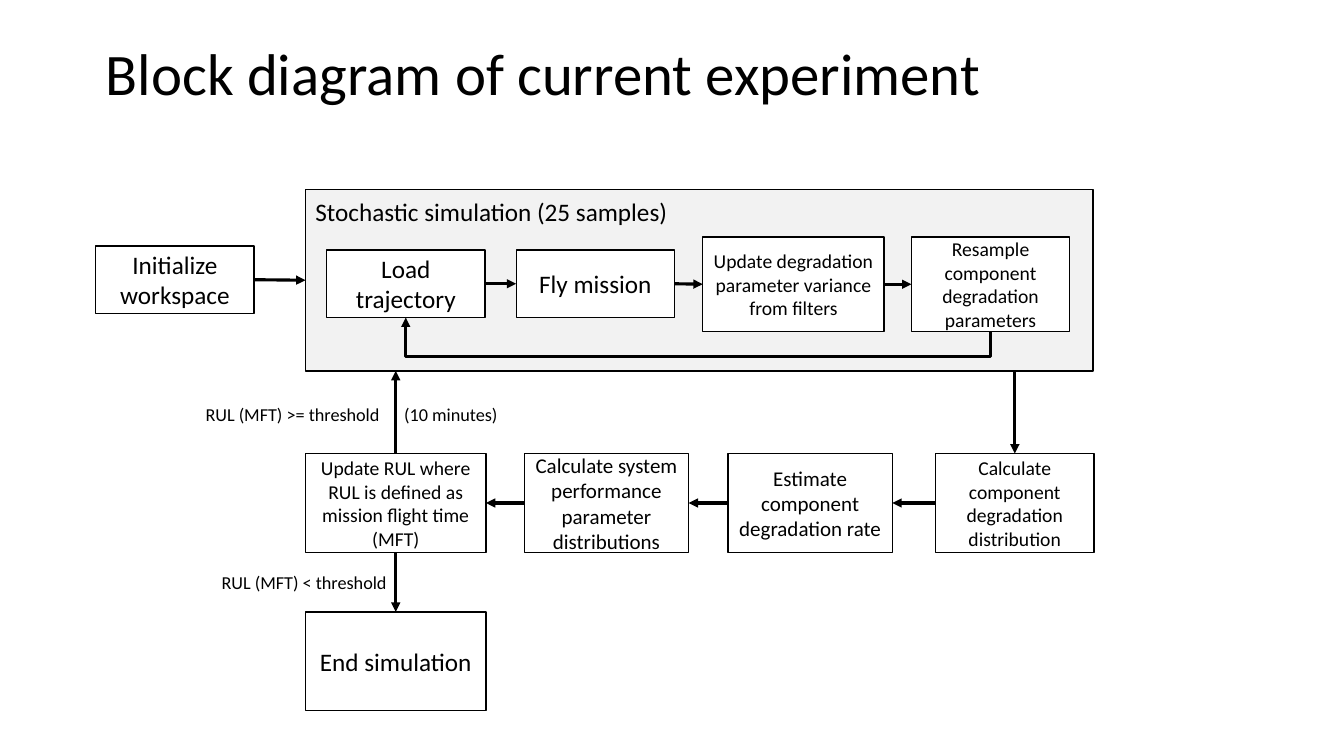
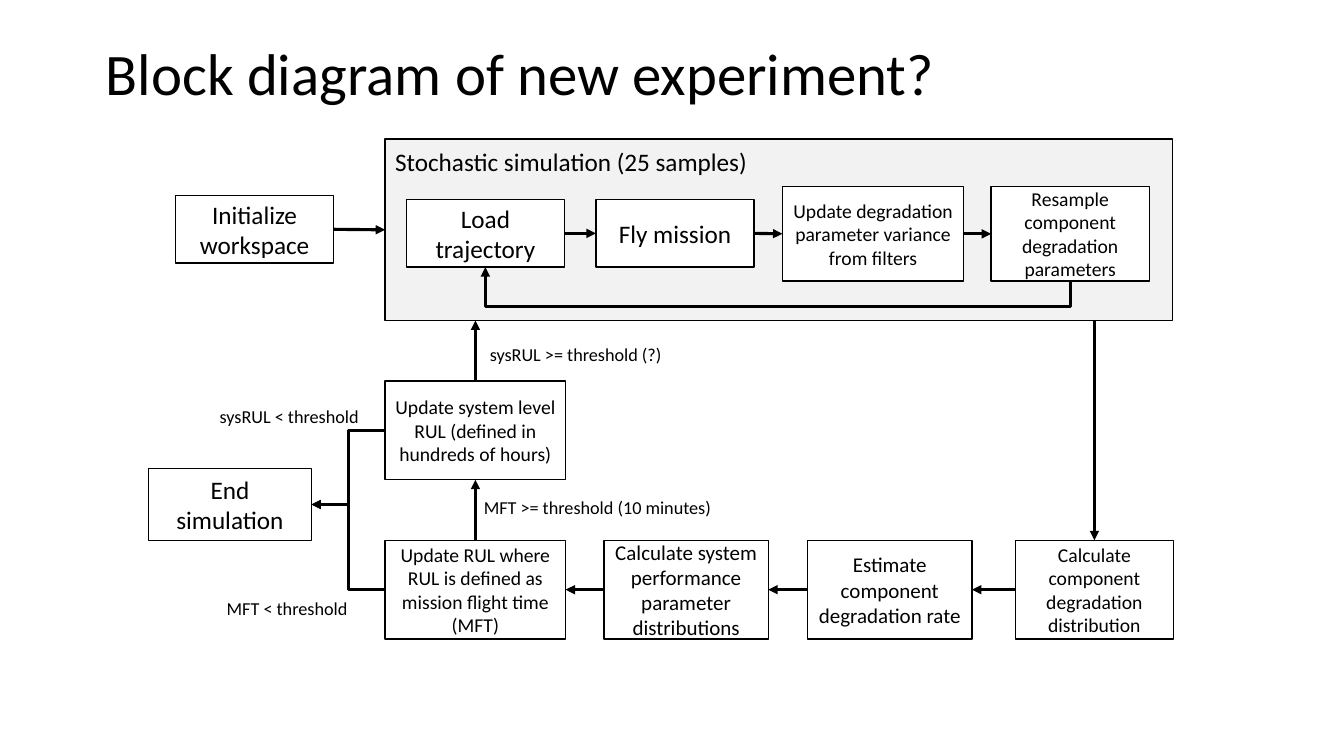
from dataclasses import dataclass

from lxml.etree import SubElement
from pptx import Presentation
from pptx.dml.color import RGBColor
from pptx.enum.shapes import MSO_CONNECTOR as Connector, MSO_SHAPE as Shape
from pptx.enum.text import MSO_ANCHOR as Anchor, MSO_AUTO_SIZE as AutoSize, PP_ALIGN as Align
from pptx.oxml.ns import qn
from pptx.util import Inches, Pt


@dataclass(frozen=True)
class Theme:
    font: str = "Calibri"
    ink: RGBColor = RGBColor(0x00, 0x00, 0x00)
    box: RGBColor = RGBColor(0xFF, 0xFF, 0xFF)
    panel: RGBColor = RGBColor(0xF2, 0xF2, 0xF2)
    title: int = 42
    large: int = 18
    medium: int = 15
    small: int = 14
    label: int = 13
    outline: float = 1
    arrow: float = 2.25


THEME = Theme()
TOP, LEFT, BOTTOM, RIGHT = range(4)
BOX_WIDTH, BOX_HEIGHT = 1.57, 0.67
STEP_HEIGHT, UPDATE_WIDTH = 0.98, 1.79
PANEL_WIDTH, PANEL_HEIGHT = 7.81, 1.8

# Text, left and top within the panel, width, height, type size
SIMULATION_STEPS = [
    ("Load trajectory", 0.21, 0.6, BOX_WIDTH, BOX_HEIGHT, THEME.large),
    ("Fly mission", 2.09, 0.6, BOX_WIDTH, BOX_HEIGHT, THEME.large),
    ("Update degradation parameter variance from filters", 3.94, 0.47, 1.8, 0.94, THEME.small),
    ("Resample component degradation parameters", 6.01, 0.47, BOX_WIDTH, 0.94, THEME.small),
]
# Text, left within the row, width, type size, in the order of flow
ESTIMATION_STEPS = [
    ("Calculate component degradation distribution", 6.25, BOX_WIDTH, THEME.small),
    ("Estimate component degradation rate", 4.19, 1.63, THEME.medium),
    ("Calculate system performance parameter distributions", 2.17, 1.63, THEME.medium),
    ("Update RUL where RUL is defined as mission flight time (MFT)", 0, UPDATE_WIDTH, THEME.small),
]


def write(frame, text, size, align=Align.LEFT):
    paragraph = frame.paragraphs[0]
    paragraph.text = text
    paragraph.alignment = align
    paragraph.font.name = THEME.font
    paragraph.font.size = Pt(size)
    paragraph.font.color.rgb = THEME.ink


def add_slide(presentation, title):
    slide = presentation.slides.add_slide(presentation.slide_layouts[5])
    shape = slide.shapes.title
    shape.left, shape.top = Inches(0.95), Inches(0.31)
    shape.width, shape.height = Inches(9.89), Inches(0.81)
    frame = shape.text_frame
    frame.auto_size = AutoSize.NONE
    frame.vertical_anchor = Anchor.TOP
    write(frame, title, THEME.title)
    return slide


def add_box(slide, text, left, top, width, height, size=THEME.large, fill=THEME.box):
    shape = slide.shapes.add_shape(
        Shape.RECTANGLE, Inches(left), Inches(top), Inches(width), Inches(height))
    shape.shadow.inherit = False
    shape.fill.solid()
    shape.fill.fore_color.rgb = fill
    shape.line.color.rgb = THEME.ink
    shape.line.width = Pt(THEME.outline)
    if text:
        shape.text_frame.vertical_anchor = Anchor.MIDDLE
        write(shape.text_frame, text, size, Align.CENTER)
    return shape


def add_label(slide, text, left, top, width, size=THEME.label, height=0.32):
    label = slide.shapes.add_textbox(Inches(left), Inches(top), Inches(width), Inches(height))
    label.text_frame.word_wrap = True
    write(label.text_frame, text, size)


def add_arrow(slide, begin, end, kind=Connector.STRAIGHT):
    """Each end is a (shape, side) pair or an (x, y) point in inches."""
    points = [(0, 0) if hasattr(target, "shape_id") else (Inches(target), Inches(value))
              for target, value in (begin, end)]
    connector = slide.shapes.add_connector(kind, *points[0], *points[1])
    for join, (target, side) in ((connector.begin_connect, begin), (connector.end_connect, end)):
        if hasattr(target, "shape_id"):
            join(target, side)
    connector.line.color.rgb = THEME.ink
    connector.line.width = Pt(THEME.arrow)
    SubElement(connector.line._get_or_add_ln(), qn("a:tailEnd"), type="triangle")
    SubElement(connector.element.spPr, qn("a:effectLst"))
    return connector


def add_return_arrow(slide, begin_shape, end_shape, drop=0.25):
    """Lead from one bottom side to another, passing below both shapes."""
    connector = add_arrow(slide, (begin_shape, BOTTOM), (end_shape, BOTTOM), Connector.ELBOW)
    span, rise = connector.width, connector.height
    connector.left += (span - rise) // 2
    connector.top += (rise - span) // 2
    connector.width, connector.height = rise, span
    properties = connector.element.spPr
    transform = properties.find(qn("a:xfrm"))
    transform.set("rot", "5400000")
    transform.set("flipH", "1")
    transform.set("flipV", "0")
    adjustments = properties.find(qn("a:prstGeom")).find(qn("a:avLst"))
    bend = round(-100000 * Inches(drop) / rise)
    SubElement(adjustments, qn("a:gd"), name="adj1", fmla=f"val {bend}")


def add_chain(slide, boxes, begin_side, end_side):
    for box, following in zip(boxes, boxes[1:]):
        add_arrow(slide, (box, begin_side), (following, end_side))


def add_simulation(slide, left, top):
    """Draw the starting box and the panel of repeated steps."""
    start = add_box(slide, "Initialize workspace", left - 2.08, top + 0.56, BOX_WIDTH, BOX_HEIGHT)
    panel = add_box(slide, "", left, top, PANEL_WIDTH, PANEL_HEIGHT, fill=THEME.panel)
    add_label(slide, "Stochastic simulation (25 samples)", left, top + 0.02, 3.8, THEME.large, 0.4)
    steps = [add_box(slide, text, left + x, top + y, width, height, size)
             for text, x, y, width, height, size in SIMULATION_STEPS]
    add_arrow(slide, (start, RIGHT), (panel, LEFT))
    add_chain(slide, steps, RIGHT, LEFT)
    add_return_arrow(slide, steps[-1], steps[0])


def add_estimation(slide, left, top, panel_bottom):
    """Draw the row of estimation steps and return its last box."""
    steps = [add_box(slide, text, left + x, top, width, STEP_HEIGHT, size)
             for text, x, width, size in ESTIMATION_STEPS]
    add_chain(slide, steps, LEFT, RIGHT)
    add_arrow(slide, (left + 6.25 + BOX_WIDTH / 2, panel_bottom), (steps[0], TOP))
    return steps[-1]


def build_current(presentation):
    slide = add_slide(presentation, "Block diagram of current experiment")
    left, top = 3.03, 1.88
    bottom = top + PANEL_HEIGHT
    add_simulation(slide, left, top)
    update = add_estimation(slide, left, 4.5, bottom)
    finish = add_box(slide, "End simulation", left, 6.07, UPDATE_WIDTH, STEP_HEIGHT)
    add_arrow(slide, (update, TOP), (left + UPDATE_WIDTH / 2, bottom))
    add_arrow(slide, (update, BOTTOM), (finish, TOP))
    add_label(slide, "RUL (MFT) >= threshold", 1.94, 3.95, 2.06)
    add_label(slide, "(10 minutes)", 3.91, 3.95, 1.48)
    add_label(slide, "RUL (MFT) < threshold", 2.1, 5.62, 2.06)


def build_new(presentation):
    slide = add_slide(presentation, "Block diagram of new experiment?")
    left, top = 3.82, 1.38
    bottom = top + PANEL_HEIGHT
    add_simulation(slide, left, top)
    update = add_estimation(slide, left, 5.36, bottom)
    system = add_box(slide, "Update system level RUL (defined in hundreds of hours)",
                     left, 3.78, UPDATE_WIDTH, STEP_HEIGHT, THEME.small)
    finish = add_box(slide, "End simulation", 1.47, 4.65, 1.62, 0.71)
    add_arrow(slide, (update, TOP), (system, BOTTOM))
    add_arrow(slide, (system, TOP), (left + UPDATE_WIDTH / 2, bottom))
    for box in (system, update):
        add_arrow(slide, (box, LEFT), (finish, RIGHT), Connector.ELBOW)
    add_label(slide, "sysRUL >= threshold (?)", 4.76, 3.36, 2.86)
    add_label(slide, "MFT >= threshold (10 minutes)", 4.7, 4.87, 2.86)
    add_label(slide, "sysRUL < threshold", 2.08, 3.97, 1.89)
    add_label(slide, "MFT < threshold", 2.15, 5.88, 1.89)


def main():
    presentation = Presentation()
    presentation.slide_width, presentation.slide_height = Inches(13.33), Inches(7.5)
    build_current(presentation)
    build_new(presentation)
    presentation.save("out.pptx")


if __name__ == "__main__":
    main()
